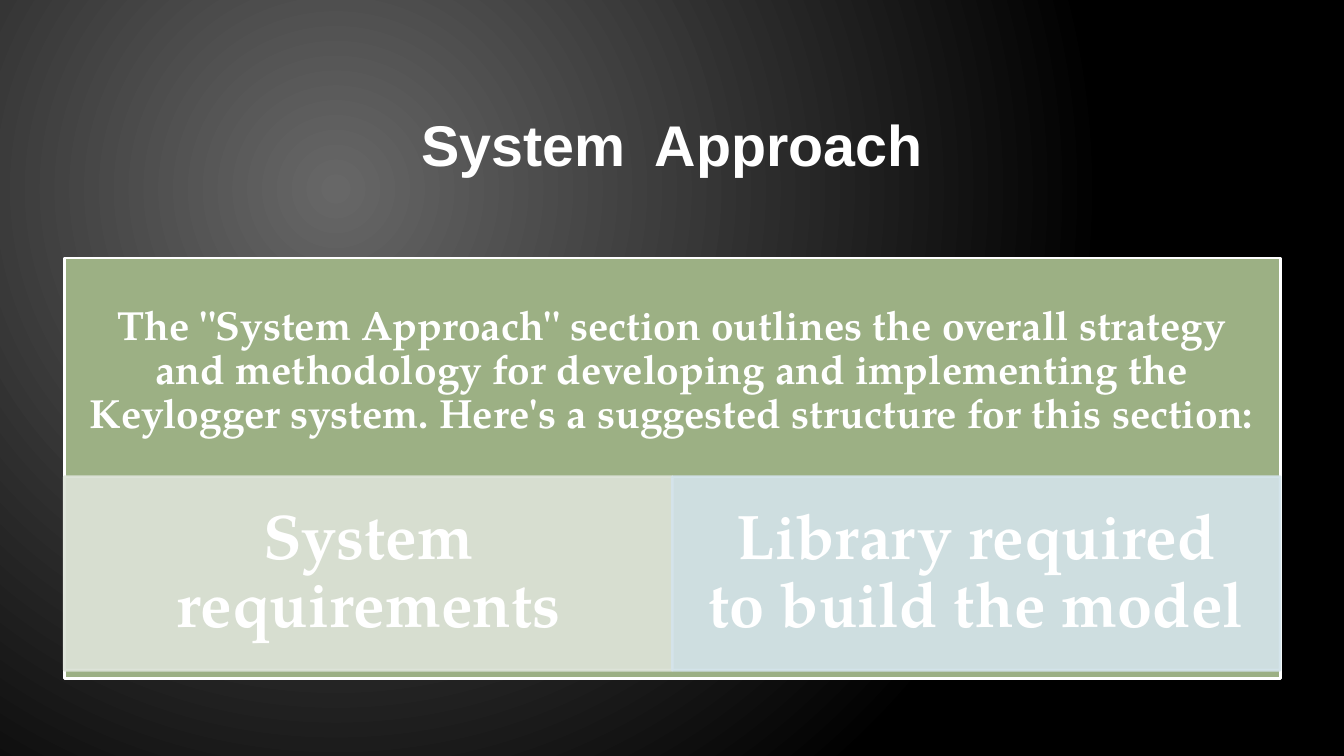
from lxml import etree
from pptx import Presentation
from pptx.dml.color import RGBColor
from pptx.enum import shapes, text
from pptx.oxml import ns
from pptx.util import Pt

HEX = {"glow": "676767", "black": "000000", "white": "FFFFFF",
       "green": "9CB084", "sage": "DEE4D9", "sky": "D4E4EB"}
SERIF = "TeX Gyre Pagella"
LEFT, WIDE = 46, 868.4
HALF = WIDE / 2


def rect(x, y, w, h, fill, line, alpha=None):
    """Add a filled rectangle; alpha is its opacity in percent."""
    box = slide.shapes.add_shape(shapes.MSO_SHAPE.RECTANGLE, Pt(x), Pt(y), Pt(w), Pt(h))
    box.shadow.inherit = False
    box.fill.solid()
    box.fill.fore_color.rgb = RGBColor.from_string(HEX[fill])
    box.line.color.rgb = RGBColor.from_string(HEX[line])
    box.line.width = Pt(2)
    if alpha:
        for clr in box.element.spPr.iter(ns.qn("a:srgbClr")):
            etree.SubElement(clr, ns.qn("a:alpha"), val=str(alpha * 1000))
    return box


def write(box, words, size, font, pad, space=None):
    """Put bold white centred text in box; pad is (side, top and bottom)."""
    frame = box.text_frame
    frame.word_wrap = True
    frame.vertical_anchor = text.MSO_ANCHOR.MIDDLE
    frame.margin_left = frame.margin_right = Pt(pad[0])
    frame.margin_top = frame.margin_bottom = Pt(pad[1])
    para = frame.paragraphs[0]
    para.alignment = text.PP_ALIGN.CENTER
    para.line_spacing = space
    run = para.add_run()
    run.text = words
    run.font.name, run.font.size, run.font.bold = font, Pt(size), True
    run.font.color.rgb = RGBColor.from_string(HEX["white"])


prs = Presentation()
prs.slide_width, prs.slide_height = Pt(960), Pt(540)
slide = prs.slides.add_slide(prs.slide_layouts[6])

# Radial background
back = slide.background.fill
back.gradient()
for stop, name in zip(back.gradient_stops, ("glow", "black")):
    stop.color.rgb = RGBColor.from_string(HEX[name])
grad = slide.element.find(".//" + ns.qn("a:gradFill"))
grad.remove(grad.find(ns.qn("a:lin")))
ring = etree.SubElement(grad, ns.qn("a:path"), path="circle")
etree.SubElement(ring, ns.qn("a:fillToRect"), l="50000", t="50000", r="100000", b="100000")

# Title
title = slide.shapes.add_textbox(Pt(LEFT), Pt(55.4), Pt(WIDE), Pt(93.6))
write(title, "System  Approach", 41, "Arial", (7.2, 3.6))

# Panel with its introduction
rect(LEFT, 184.3, WIDE, 300.2, "green", "white")
intro = slide.shapes.add_textbox(Pt(LEFT), Pt(184.3), Pt(WIDE), Pt(162))
write(intro, 'The "System Approach" section outlines the overall strategy and methodology '
      "for developing and implementing the Keylogger system. Here's a suggested "
      "structure for this section:", 29, SERIF, (16.5, 16.5), 0.9)

# Two cards side by side
cards = [("System requirements", "sage"), ("Library required to build the model", "sky")]
for i, (words, tint) in enumerate(cards):
    card = rect(LEFT + i * HALF, 340.5, HALF, 138.2, tint, tint, 90)
    write(card, words, 45, SERIF, (25, 4.5), 0.9)

prs.save("out.pptx")
